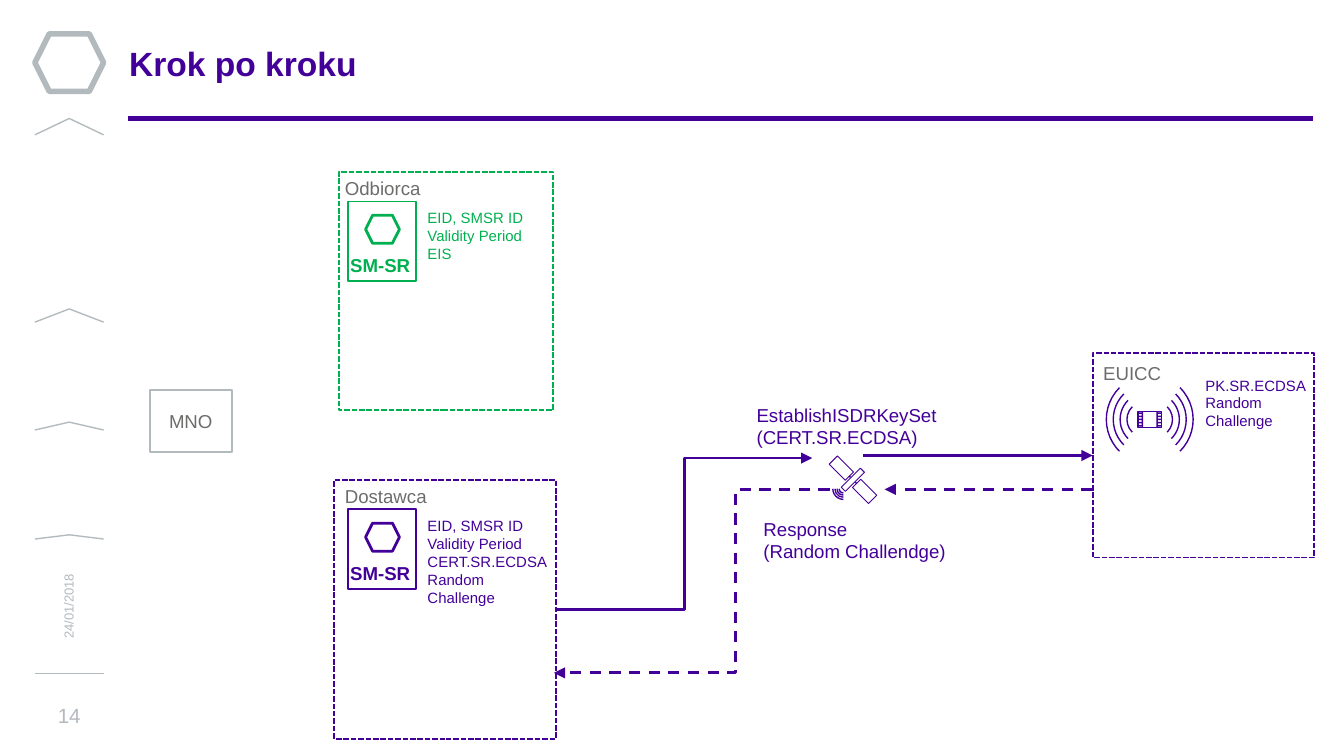
from lxml import etree
from pptx import Presentation
from pptx import util as u
from pptx.dml.color import RGBColor
from pptx.enum import dml, shapes, text
from pptx.oxml.ns import qn

COLORS = {
    "purple": "430099",
    "green": "00B050",
    "silver": "B3BABE",
    "gray": "6C6D6B",
    "white": "FFFFFF",
}
SHAPE = shapes.MSO_SHAPE
DASH = dml.MSO_LINE


def rgb(name):
    return RGBColor.from_string(COLORS[name])


def style(shape, fill=None, line=None, weight=1.0, dash=None):
    """Set fill and outline; None leaves either one empty."""
    shape.shadow.inherit = False
    if fill:
        shape.fill.solid()
        shape.fill.fore_color.rgb = rgb(fill)
    else:
        shape.fill.background()
    if line:
        shape.line.color.rgb = rgb(line)
        shape.line.width = u.Pt(weight)
        if dash:
            shape.line.dash_style = dash
    else:
        shape.line.fill.background()
    return shape


def add_shape(slide, kind, left, top, width, height, **look):
    box = [u.Cm(value) for value in (left, top, width, height)]
    return style(slide.shapes.add_shape(kind, *box), **look)


def add_centered(slide, x, y, width, height, rotation, **look):
    shape = add_shape(slide, SHAPE.RECTANGLE, x - width / 2, y - height / 2,
                      width, height, **look)
    shape.rotation = rotation


def add_arc(slide, x, y, radius, start, end):
    arc = add_shape(slide, SHAPE.ARC, x - radius, y - radius,
                    2 * radius, 2 * radius, line="purple", weight=0.75)
    # Angles are stored in 1/60000 degree, adjustments in 1/100000
    arc.adjustments[0] = start * 0.6
    arc.adjustments[1] = end * 0.6


def write(shape, lines, size=10, color="purple", bold=False, align=None,
          anchor=text.MSO_ANCHOR.TOP, margins=(0.25, 0.13), spacing=None,
          wrap=True):
    frame = shape.text_frame
    frame.word_wrap = wrap
    frame.vertical_anchor = anchor
    frame.margin_left = frame.margin_right = u.Cm(margins[0])
    frame.margin_top = frame.margin_bottom = u.Cm(margins[1])
    for index, line in enumerate(lines):
        paragraph = frame.add_paragraph() if index else frame.paragraphs[0]
        paragraph.text = line
        paragraph.alignment = align
        paragraph.line_spacing = spacing
        paragraph.font.name = "Arial"
        paragraph.font.size = u.Pt(size)
        paragraph.font.bold = bold
        paragraph.font.color.rgb = rgb(color)


def add_text(slide, left, top, width, height, *lines, **look):
    shape = slide.shapes.add_textbox(u.Cm(left), u.Cm(top), u.Cm(width), u.Cm(height))
    write(shape, lines, **look)
    return shape


def add_line(slide, start, end, weight=1.5, dash=None, arrow=True, bend=None):
    kind = shapes.MSO_CONNECTOR.STRAIGHT if bend is None else shapes.MSO_CONNECTOR.ELBOW
    connector = slide.shapes.add_connector(kind, *[u.Cm(value) for value in start + end])
    connector.line.color.rgb = rgb("purple")
    connector.line.width = u.Pt(weight)
    if dash:
        connector.line.dash_style = dash
    properties = connector._element.spPr
    if arrow:
        etree.SubElement(properties.find(qn("a:ln")), qn("a:tailEnd"), type="triangle")
    etree.SubElement(properties, qn("a:effectLst"))
    if bend is not None:
        geometry = properties.find(qn("a:prstGeom"))
        guides = geometry.find(qn("a:avLst"))
        if guides is None:
            guides = etree.SubElement(geometry, qn("a:avLst"))
        etree.SubElement(guides, qn("a:gd"), name="adj1", fmla=f"val {round(bend * 100000)}")


def add_sidebar(slide, left, top, width):
    """Emblem, flattening chevrons, date and page number."""
    add_shape(slide, SHAPE.HEXAGON, left, top, width, 1.09, line="silver", weight=3)
    # Offset of each peak and how far its ends drop
    chevrons = [(1.6, 0.31), (5.2, 0.25), (7.34, 0.15), (9.47, 0.08), (12.09, 0)]
    builder = None
    for offset, drop in chevrons:
        peak = top + offset
        start, *rest = [(u.Cm(left + width * part), u.Cm(y))
                        for part, y in ((0, peak + drop), (0.5, peak), (1, peak + drop))]
        if builder is None:
            builder = slide.shapes.build_freeform(*start)
        else:
            builder.move_to(*start)
        builder.add_line_segments(rest, close=False)
    style(builder.convert_to_shape(), line="silver", weight=0.75)
    small = dict(color="silver", align=text.PP_ALIGN.CENTER,
                 anchor=text.MSO_ANCHOR.MIDDLE, margins=(0.1, 0))
    date = add_text(slide, left - 0.62, top + 10.44, 2.51, 0.76, "24/01/2018", size=7, **small)
    date.rotation = 270
    add_text(slide, left, top + 12.65, width, 0.48, "14", size=11, **small)


def add_header(slide, left, top, width):
    add_text(slide, left, top, width, 1.19, "Krok po kroku", size=18, bold=True,
             anchor=text.MSO_ANCHOR.MIDDLE, margins=(0.1, 0), spacing=0.9)
    add_line(slide, (left + 0.08, top + 1.6), (left + width + 0.02, top + 1.6),
             weight=3, arrow=False)


def add_frame(slide, left, top, width, height, color):
    add_shape(slide, SHAPE.RECTANGLE, left, top, width, height,
              fill="white", line=color, dash=DASH.SQUARE_DOT)


def add_operator(slide, left, top, width, height, label, color, inset, details):
    """Dashed card with an SM-SR badge and the data it holds."""
    add_frame(slide, left, top, width, height, color)
    badge_left, badge_top = left + inset, top + 0.56
    add_shape(slide, SHAPE.RECTANGLE, badge_left, badge_top, 1.3, 1.5, fill="white", line=color)
    add_shape(slide, SHAPE.HEXAGON, badge_left + 0.34, badge_top + 0.26, 0.64, 0.53,
              line=color, weight=1.5)
    add_text(slide, badge_left - 0.2, badge_top + 0.9, 2, 0.6, "SM-SR",
             color=color, bold=True, spacing=0.9)
    add_text(slide, badge_left - 0.3, top - 0.04, 2.1, 0.68, label, color="gray", wrap=False)
    add_text(slide, badge_left + 1.26, top + 0.57, 2.8, 1.95, *details, size=8, color=color)


def add_chip(slide, x, y):
    """Chip with contacts and radio waves on both sides."""
    for ring in range(4):
        reach, radius = 0.43 + 0.13 * ring, 0.34 + 0.17 * ring
        add_arc(slide, x - reach + radius, y, radius, 135, 225)
        add_arc(slide, x + reach - radius, y, radius, 315, 45)
    add_centered(slide, x, y, 0.44, 0.31, 0, line="purple", weight=0.75)
    for side in (-1, 1):
        add_centered(slide, x + side * 0.14, y, 0.03, 0.31, 0, fill="purple")
        for contact in range(-2, 3):
            add_centered(slide, x + side * 0.18, y + contact * 0.06, 0.08, 0.03, 0, fill="purple")


def add_device(slide, left, top, width, height):
    add_frame(slide, left, top, width, height, "purple")
    add_chip(slide, left + 1.08, top + 1.25)
    add_text(slide, left - 0.05, top + 0.03, 1.63, 0.68, "EUICC", color="gray", wrap=False)
    add_text(slide, left + 1.88, top + 0.3, 2.44, 1.27, "PK.SR.ECDSA", "Random Challenge", size=8)


def add_satellite(slide, x, y):
    outline = dict(line="purple", weight=0.5)
    for side in (-1, 1):
        add_centered(slide, x + side * 0.22, y + side * 0.22, 0.43, 0.22, 45, **outline)
        add_centered(slide, x + side * 0.06, y + side * 0.06, 0.04, 0.03, 45, fill="purple")
    add_centered(slide, x, y, 0.51, 0.11, -45, **outline)
    for ring in range(1, 5):
        add_arc(slide, x - 0.18, y + 0.17, 0.04 + 0.04 * ring, 90, 180)


def add_exchange(slide, left, top, right):
    """Request and response between the supplier and the device."""
    request, response = top + 1.11, top + 1.75
    add_line(slide, (left, top + 4.03), (left + 4.83, request + 0.05), bend=0.5)
    add_line(slide, (left + 5.79, request), (right, request))
    add_line(slide, (right, response), (left + 6.2, response), dash=DASH.DASH)
    add_line(slide, (left + 5.16, response), (left - 0.05, top + 5.22),
             dash=DASH.DASH, bend=0.34)
    add_satellite(slide, left + 5.6, top + 1.57)
    add_text(slide, left + 3.53, top, 4.55, 1.12, "EstablishISDRKeySet", "(CERT.SR.ECDSA)")
    add_text(slide, left + 3.66, top + 2.16, 4.55, 1.12, "Response", "(Random Challendge)")


def add_network(slide, left, top, width, height):
    box = add_shape(slide, SHAPE.RECTANGLE, left, top, width, height, fill="white", line="silver")
    write(box, ["MNO"], color="gray", align=text.PP_ALIGN.CENTER, anchor=text.MSO_ANCHOR.MIDDLE)


def main():
    presentation = Presentation()
    presentation.slide_width, presentation.slide_height = u.Cm(25.4), u.Cm(14.29)
    slide = presentation.slides.add_slide(presentation.slide_layouts[6])
    add_sidebar(slide, 0.66, 0.64, 1.3)
    add_header(slide, 2.34, 0.64, 22.45)
    add_network(slide, 2.83, 7.38, 1.55, 1.17)
    add_operator(slide, 6.4, 3.25, 4.06, 4.5, "Odbiorca", "green", 0.17,
                 ["EID, SMSR ID", "Validity Period", "EIS"])
    add_operator(slide, 6.32, 9.07, 4.19, 4.9, "Dostawca", "purple", 0.25,
                 ["EID, SMSR ID", "Validity Period", "CERT.SR.ECDSA", "Random Challenge"])
    add_device(slide, 20.65, 6.68, 4.19, 3.86)
    add_exchange(slide, 10.52, 7.5, 20.65)
    presentation.save("out.pptx")


if __name__ == "__main__":
    main()
